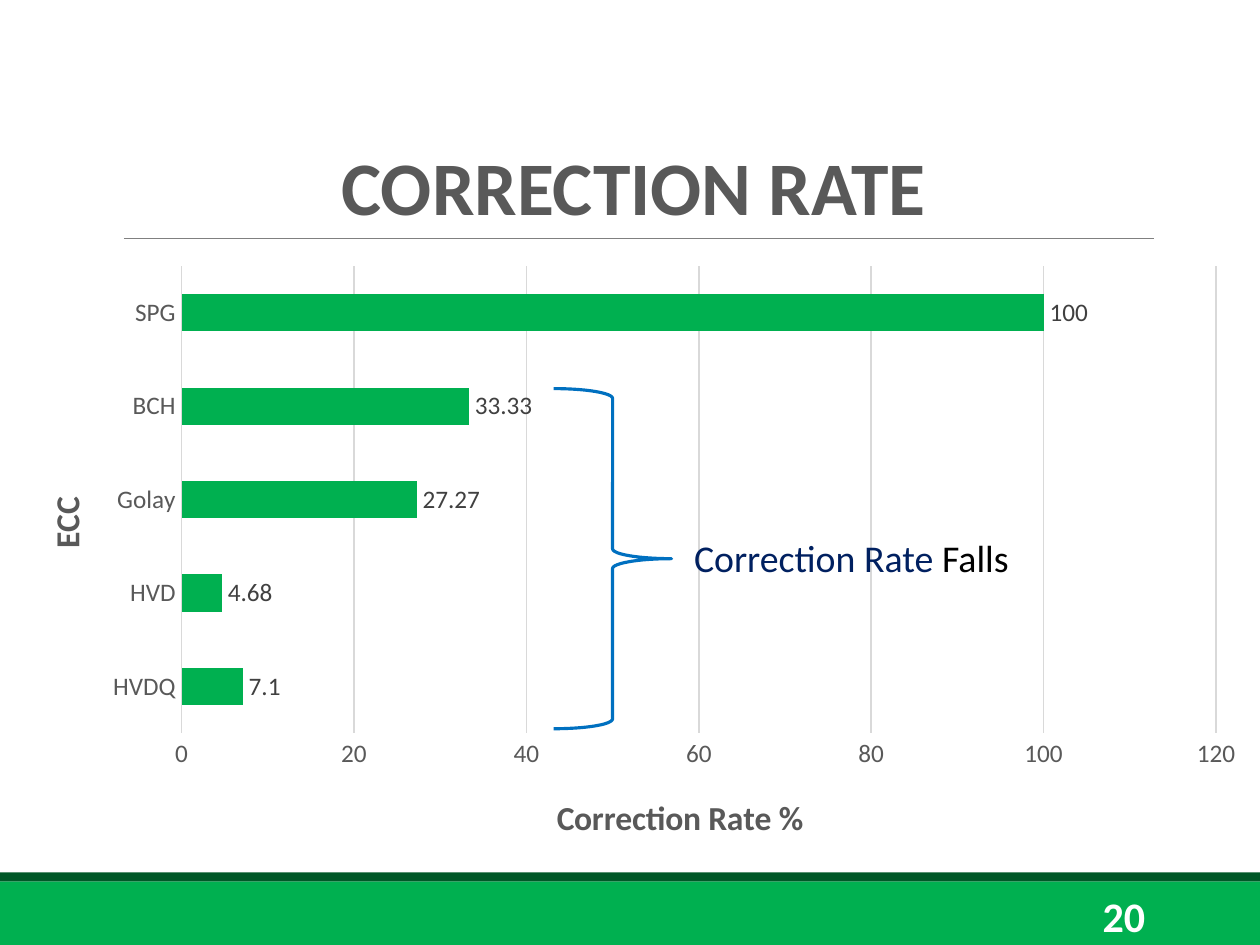
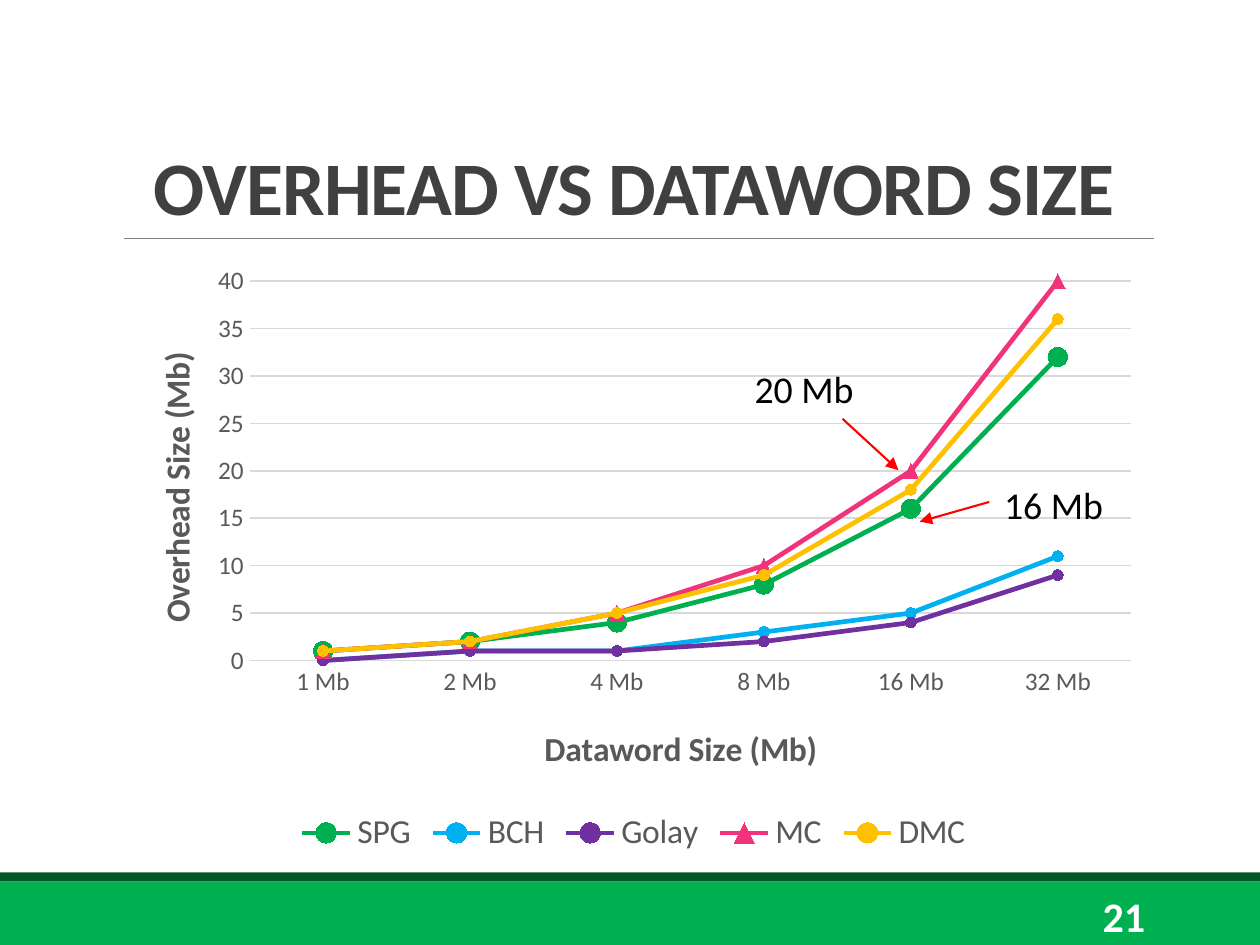
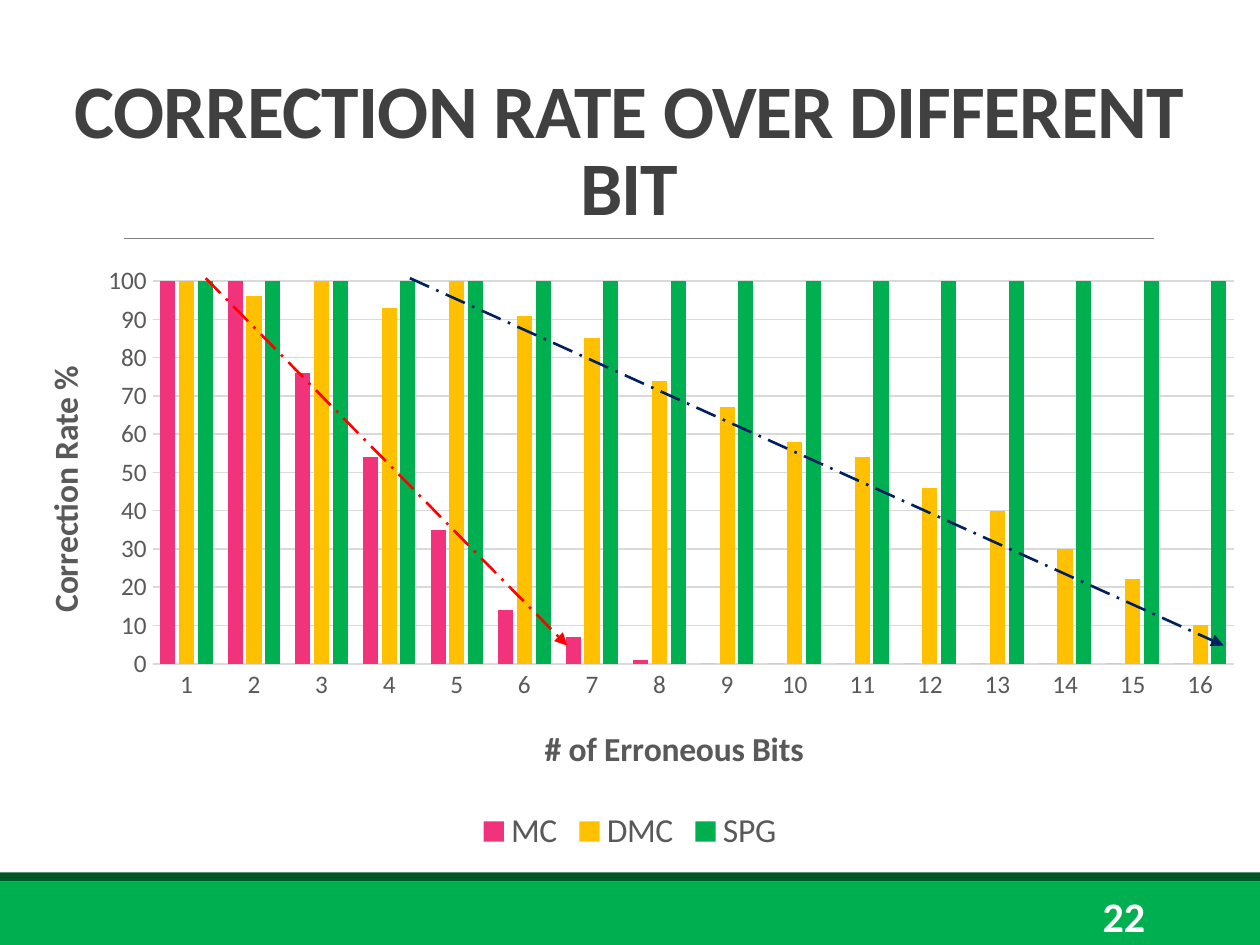
"""Build three slides that compare error-correcting codes with charts."""
from lxml.etree import SubElement
from pptx import Presentation
from pptx.chart.data import CategoryChartData
from pptx.dml.color import RGBColor
from pptx.enum.chart import (XL_CHART_TYPE, XL_LABEL_POSITION, XL_LEGEND_POSITION,
                             XL_MARKER_STYLE, XL_TICK_MARK)
from pptx.enum.dml import MSO_LINE
from pptx.enum.shapes import MSO_CONNECTOR, MSO_SHAPE
from pptx.enum.text import MSO_ANCHOR, MSO_AUTO_SIZE, PP_ALIGN
from pptx.oxml.ns import qn
from pptx.util import Inches, Pt

FONT = "Calibri"
WIDTH, HEIGHT = 8.33, 6.25
FIRST_NUMBER = 20
COLORS = {
    "green": "00B050", "dark green": "005827", "rule": "808080", "grid": "D9D9D9",
    "gray": "595959", "dark gray": "404040", "white": "FFFFFF", "black": "000000",
    "blue": "0070C0", "navy": "002060", "sky": "00B0F0", "purple": "7030A0",
    "pink": "F1337B", "amber": "FFC000", "red": "FF0000",
}
BANDS = [("green", 5.83, 0.42), ("dark green", 5.77, 0.06)]
TITLE_BOX = (0.75, 0.26, 6.88, 1.32)

SLIDES = [
    {
        "title": "CORRECTION RATE", "title_color": "gray", "title_spacing": 0,
        "kind": XL_CHART_TYPE.BAR_CLUSTERED,
        "box": (0, 1.68, WIDTH, 4.03), "plot": (1.2, 1.76, 6.84, 3.09),
        "category_title": ("ECC", 0.25, 3.25),
        "value_title": ("Correction Rate %", 3.64, 5.22),
        "max": 120, "step": 20, "gap": 150, "overlap": 0,
        "categories": ["HVDQ", "HVD", "Golay", "BCH", "SPG"],
        "series": [("Series 1", "green", [7.1, 4.68, 27.27, 33.33, 100])],
        "brace": (3.66, 2.57, 0.78, 2.25),
        "notes": [((4.49, 3.49, 2.4, 0.4),
                   [("Correction Rate ", "navy"), ("Falls", "black")])],
    },
    {
        "title": "OVERHEAD VS DATAWORD SIZE",
        "kind": XL_CHART_TYPE.LINE_MARKERS,
        "box": (0.75, 1.68, 6.88, 4.01), "plot": (1.65, 1.86, 5.83, 2.51),
        "category_title": ("Dataword Size (Mb)", 3.56, 4.76),
        "value_title": ("Overhead Size (Mb)", 0.98, 2.29),
        "axis_line": 0.75, "max": 40, "step": 5,
        "categories": [f"{size} Mb" for size in (1, 2, 4, 8, 16, 32)],
        "series": [
            ("SPG", "green", [1, 2, 4, 8, 16, 32]),
            ("BCH", "sky", [0, 1, 1, 3, 5, 11]),
            ("Golay", "purple", [0, 1, 1, 2, 4, 9]),
            ("MC", "pink", [1, 2, 5, 10, 20, 40]),
            ("DMC", "amber", [1, 2, 5, 9, 18, 36]),
        ],
        "markers": {"SPG": (XL_MARKER_STYLE.CIRCLE, 9),
                    "MC": (XL_MARKER_STYLE.TRIANGLE, 7)},
        "arrows": [("red", 1, None, (6.54, 3.32, 6.08, 3.45)),
                   ("red", 1, None, (5.57, 2.77, 5.94, 3.11))],
        "notes": [((6.54, 3.14, 1.2, 0.4), [("16 Mb", "black")]),
                  ((4.89, 2.37, 1.2, 0.4), [("20 Mb", "black")])],
    },
    {
        "title": "CORRECTION RATE OVER DIFFERENT BIT",
        "title_box": (0.1, 0.26, 8.12, 1.32),
        "kind": XL_CHART_TYPE.COLUMN_CLUSTERED,
        "box": (0, 1.68, WIDTH, 4), "plot": (1.01, 1.86, 7.15, 2.53),
        "category_title": ("# of Erroneous Bits", 3.56, 4.76),
        "value_title": ("Correction Rate %", 0.24, 2.38),
        "axis_line": 1, "max": 100, "step": 10, "gap": 100, "overlap": -24,
        "categories": [str(bits) for bits in range(1, 17)],
        "series": [
            ("MC", "pink", [100, 100, 76, 54, 35, 14, 7, 1] + [0] * 8),
            ("DMC", "amber", [100, 96, 100, 93, 100, 91, 85, 74,
                              67, 58, 54, 46, 40, 30, 22, 10]),
            ("SPG", "green", [100] * 16),
        ],
        "arrows": [
            ("red", 1.25, MSO_LINE.LONG_DASH_DOT, (1.36, 1.84, 3.75, 4.27)),
            ("navy", 1.25, MSO_LINE.LONG_DASH_DOT, (2.71, 1.84, 8.09, 4.27)),
        ],
    },
]


def rgb(name):
    """Return the named colour."""
    return RGBColor.from_string(COLORS[name])


def inches(values):
    """Convert several lengths to inches."""
    return [Inches(value) for value in values]


def set_line(line, color, width):
    """Give a line its colour and its width in points."""
    line.color.rgb = rgb(color)
    line.width = Pt(width)


def set_fill(fill, color):
    """Fill with one plain colour."""
    fill.solid()
    fill.fore_color.rgb = rgb(color)


def write(frame, text, color="black", size=18, bold=False, align=None,
          leading=None, spacing=0):
    """Write a string, or a list of (string, colour) runs, as one paragraph."""
    paragraph = frame.paragraphs[0]
    paragraph.alignment = align
    paragraph.line_spacing = leading
    for words, shade in [(text, color)] if isinstance(text, str) else text:
        run = paragraph.add_run()
        run.text = words
        run.font.name, run.font.size, run.font.bold = FONT, Pt(size), bold
        run.font.color.rgb = rgb(shade)
        if spacing:
            run.font.element.set("spc", str(round(spacing * 100))) if hasattr(
                run.font, "element") else run._r.get_or_add_rPr().set(
                "spc", str(round(spacing * 100)))


def add_note(slide, box, text, anchor=MSO_ANCHOR.TOP, **style):
    """Add a wrapping text box."""
    frame = slide.shapes.add_textbox(*inches(box)).text_frame
    frame.word_wrap = True
    frame.vertical_anchor = anchor
    write(frame, text, **style)


def add_outline(slide, preset, box):
    """Add a preset shape without a shadow."""
    shape = slide.shapes.add_shape(preset, *inches(box))
    shape.shadow.inherit = False
    return shape


def add_rule(slide, ends, color, width, dash=None, arrow=False):
    """Add a straight line, with an arrowhead at its end if asked."""
    rule = slide.shapes.add_connector(MSO_CONNECTOR.STRAIGHT, *inches(ends))
    set_line(rule.line, color, width)
    if dash:
        rule.line.dash_style = dash
    properties = rule.element.find(qn("p:spPr"))
    if arrow:
        SubElement(properties.find(qn("a:ln")), qn("a:tailEnd"), type="triangle")
    SubElement(properties, qn("a:effectLst"))
    return rule


def add_shared_parts(slide, layout):
    """Put the bottom bands and the title rule on the layout."""
    parts = []
    for color, top, height in BANDS:
        band = add_outline(slide, MSO_SHAPE.RECTANGLE, (0, top, WIDTH, height))
        set_fill(band.fill, color)
        band.line.fill.background()
        parts.append(band)
    parts.append(add_rule(slide, (0.82, 1.58, 7.63, 1.58), "rule", 0.5))
    for number, part in enumerate(parts, 100):
        part.element.xpath(".//p:cNvPr")[0].set("id", str(number))
        layout.shapes.element.append(part.element)


def add_title(slide, content):
    """Move, fill and format the title placeholder."""
    title = slide.shapes.title
    title.left, title.top, title.width, title.height = inches(
        content.get("title_box", TITLE_BOX))
    frame = title.text_frame
    frame.word_wrap = True
    frame.auto_size = MSO_AUTO_SIZE.NONE
    frame.vertical_anchor = MSO_ANCHOR.BOTTOM
    write(frame, content["title"], color=content.get("title_color", "dark gray"),
          size=36, bold=True, align=PP_ALIGN.CENTER, leading=0.85,
          spacing=content.get("title_spacing", -0.4))


def place(part, chart_box, left, top, size=()):
    """Fix the place of a chart part, given in inches on the slide."""
    layout = part.find(qn("c:layout"))
    if layout is None:
        layout = SubElement(part, qn("c:layout"))
        part.insert(0, layout)
    manual = SubElement(layout, qn("c:manualLayout"))
    if size:
        SubElement(manual, qn("c:layoutTarget"), val="inner")
    for mode in ("c:xMode", "c:yMode"):
        SubElement(manual, qn(mode), val="edge")
    x, y, width, height = chart_box
    shares = [(left - x) / width, (top - y) / height]
    shares += [length / whole for length, whole in zip(size, (width, height))]
    for tag, share in zip(("c:x", "c:y", "c:w", "c:h"), shares):
        SubElement(manual, qn(tag), val=f"{share:.4f}")


def format_axis(axis, heading, chart_box, upright, line_width=None):
    """Format an axis and write its title."""
    axis.major_tick_mark = axis.minor_tick_mark = XL_TICK_MARK.NONE
    if line_width:
        set_line(axis.format.line, "grid", line_width)
    else:
        axis.format.line.fill.background()
    text, left, top = heading
    frame = axis.axis_title.text_frame
    write(frame, text, color="gray", size=16, bold=True)
    body = axis.axis_title.element.find(".//" + qn("a:bodyPr"))
    body.set("rot", "-5400000" if upright else "0")
    body.set("vert", "horz")
    place(axis.axis_title.element, chart_box, left, top)


def format_series(series, color, marker=None):
    """Colour a series of bars, or a line with its markers."""
    if marker is None:
        set_fill(series.format.fill, color)
        series.invert_if_negative = False
        return
    series.smooth = False
    set_line(series.format.line, color, 2.25)
    series.marker.style, series.marker.size = marker
    set_fill(series.marker.format.fill, color)
    set_line(series.marker.format.line, color, 0.75)


def add_data_chart(slide, content):
    """Add the chart of a slide."""
    data = CategoryChartData()
    data.categories = content["categories"]
    for name, _, values in content["series"]:
        data.add_series(name, values)
    box, kind = content["box"], content["kind"]
    chart = slide.shapes.add_chart(kind, *inches(box), data).chart
    chart.has_title = False
    chart.font.name, chart.font.size = FONT, Pt(12)
    chart.font.color.rgb = rgb("gray")

    sideways = kind == XL_CHART_TYPE.BAR_CLUSTERED
    format_axis(chart.category_axis, content["category_title"], box, sideways,
                content.get("axis_line"))
    format_axis(chart.value_axis, content["value_title"], box, not sideways)
    chart.category_axis.has_major_gridlines = False
    scale = chart.value_axis
    scale.minimum_scale, scale.maximum_scale = 0, content["max"]
    scale.major_unit = content["step"]
    scale.has_major_gridlines = True
    set_line(scale.major_gridlines.format.line, "grid", 0.75)

    left, top, *size = content["plot"]
    place(chart.element.find(".//" + qn("c:plotArea")), box, left, top, size)
    plot = chart.plots[0]
    plot.vary_by_categories = False
    is_line = kind == XL_CHART_TYPE.LINE_MARKERS
    if not is_line:
        plot.gap_width, plot.overlap = content["gap"], content["overlap"]
    markers = content.get("markers", {})
    for series, (name, color, _) in zip(plot.series, content["series"]):
        marker = markers.get(name, (XL_MARKER_STYLE.CIRCLE, 5)) if is_line else None
        format_series(series, color, marker)

    chart.has_legend = len(content["series"]) > 1
    if chart.has_legend:
        chart.legend.position = XL_LEGEND_POSITION.BOTTOM
        chart.legend.include_in_layout = False
        chart.legend.font.name, chart.legend.font.size = FONT, Pt(16)
        chart.legend.font.color.rgb = rgb("gray")
    else:
        plot.has_data_labels = True
        labels = plot.data_labels
        labels.show_value = True
        labels.position = XL_LABEL_POSITION.OUTSIDE_END
        labels.font.name, labels.font.size = FONT, Pt(12)
        labels.font.color.rgb = rgb("dark gray")


def main():
    """Build and save the presentation."""
    deck = Presentation()
    deck.slide_width, deck.slide_height = inches((WIDTH, HEIGHT))
    layout = deck.slide_layouts[5]
    for number, content in enumerate(SLIDES, FIRST_NUMBER):
        slide = deck.slides.add_slide(layout)
        if number == FIRST_NUMBER:
            add_shared_parts(slide, layout)
        add_title(slide, content)
        add_note(slide, (6.77, 5.89, 0.9, 0.33), str(number), MSO_ANCHOR.MIDDLE,
                 color="white", size=20, bold=True, align=PP_ALIGN.RIGHT)
        add_data_chart(slide, content)
        if "brace" in content:
            brace = add_outline(slide, MSO_SHAPE.RIGHT_BRACE, content["brace"])
            brace.fill.background()
            set_line(brace.line, "blue", 1.5)
        for color, width, dash, ends in content.get("arrows", []):
            add_rule(slide, ends, color, width, dash, arrow=True)
        for box, text in content.get("notes", []):
            add_note(slide, box, text)
    deck.save("out.pptx")


if __name__ == "__main__":
    main()
